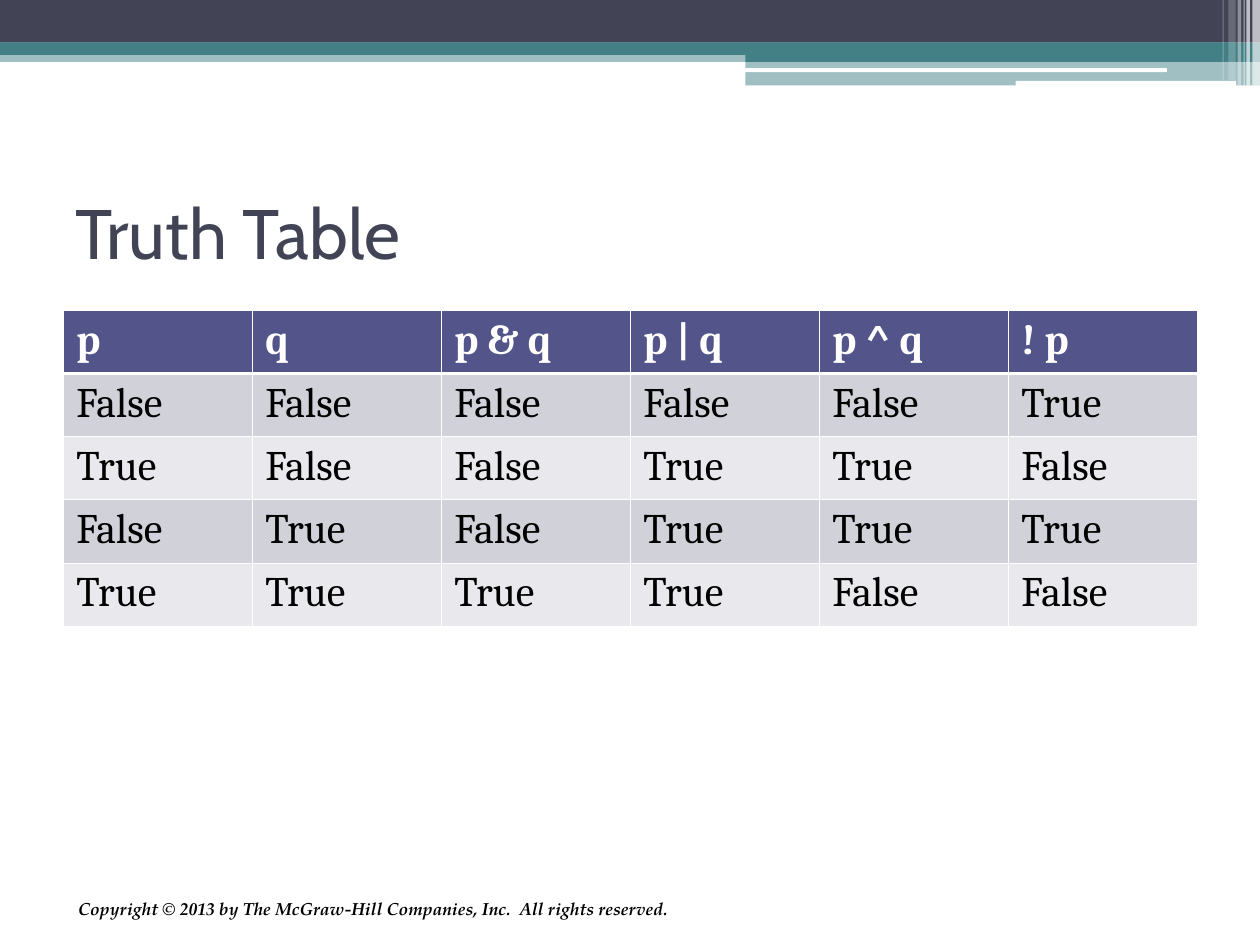
from itertools import product

from lxml import etree
from pptx import Presentation
from pptx.dml.color import RGBColor
from pptx.enum.shapes import MSO_SHAPE
from pptx.enum.text import MSO_ANCHOR, PP_ALIGN
from pptx.oxml.ns import qn
from pptx.util import Pt

RECT, ROUNDED = MSO_SHAPE.RECTANGLE, MSO_SHAPE.ROUNDED_RECTANGLE
TOP, MIDDLE = MSO_ANCHOR.TOP, MSO_ANCHOR.MIDDLE
LEFT, RIGHT = PP_ALIGN.LEFT, PP_ALIGN.RIGHT


def color(hex_value):
    return RGBColor.from_string(hex_value)


def write(frame, text, font="Cambria", size=24, ink="000000", bold=False,
          italic=False, align=LEFT):
    paragraph = frame.paragraphs[0]
    paragraph.alignment = align
    run = paragraph.add_run()
    run.text = text
    run.font.name = font
    run.font.size = Pt(size)
    run.font.bold = bold
    run.font.italic = italic
    run.font.color.rgb = color(ink)


class TruthTableSlide:
    navy, teal, white = "424456", "438086", "FFFFFF"
    header_fill, row_fills = "53548A", ("D1D1DA", "E9E9ED")
    thin_border, header_border = 0.45, 1.47

    def __init__(self, slide):
        self.slide = slide

    def bar(self, left, top, width, height, fill, opacity=100, kind=RECT):
        bar = self.slide.shapes.add_shape(
            kind, Pt(left), Pt(top), Pt(width), Pt(height))
        bar.shadow.inherit = False
        bar.line.fill.background()
        bar.fill.solid()
        bar.fill.fore_color.rgb = color(fill)
        if opacity < 100:
            tint = bar.fill._xPr.find(".//" + qn("a:srgbClr"))
            etree.SubElement(tint, qn("a:alpha"), val=str(opacity * 1000))

    def text(self, left, top, width, height, text, anchor=TOP,
             margins=(7.2, 3.6, 7.2, 3.6), **style):
        frame = self.slide.shapes.add_textbox(
            Pt(left), Pt(top), Pt(width), Pt(height)).text_frame
        frame.word_wrap = True
        frame.vertical_anchor = anchor
        (frame.margin_left, frame.margin_top,
         frame.margin_right, frame.margin_bottom) = map(Pt, margins)
        write(frame, text, **style)

    def borders(self, cell, top, bottom):
        widths = {"L": self.thin_border, "R": self.thin_border,
                  "T": top, "B": bottom}
        properties = cell._tc.get_or_add_tcPr()
        for position, (side, width) in enumerate(widths.items()):
            line = etree.Element(qn(f"a:ln{side}"), w=str(Pt(width)))
            fill = etree.SubElement(line, qn("a:solidFill"))
            etree.SubElement(fill, qn("a:srgbClr"), val=self.white)
            properties.insert(position, line)

    def table(self, left, top, column_width, row_height, rows):
        columns = len(rows[0])
        table = self.slide.shapes.add_table(
            len(rows), columns, Pt(left), Pt(top),
            Pt(column_width * columns), Pt(row_height * len(rows))).table
        for column in table.columns:
            column.width = Pt(column_width)
        for r, values in enumerate(rows):
            table.rows[r].height = Pt(row_height)
            header = r == 0
            for c, value in enumerate(values):
                cell = table.cell(r, c)
                cell.fill.solid()
                cell.fill.fore_color.rgb = color(
                    self.header_fill if header else self.row_fills[(r - 1) % 2])
                self.borders(
                    cell,
                    self.header_border if r == 1 else self.thin_border,
                    self.header_border if header else self.thin_border)
                write(cell.text_frame, value, bold=header,
                      ink=self.white if header else "000000")


def main():
    presentation = Presentation()
    presentation.slide_width, presentation.slide_height = Pt(720), Pt(540)
    page = TruthTableSlide(
        presentation.slides.add_slide(presentation.slide_layouts[6]))

    page.bar(0, 28.8, 720, 6.6, page.teal, 50)
    page.bar(0, 0, 720, 24.4, page.navy)
    page.bar(0, 24.2, 720, 7.2, page.teal)
    page.bar(426, 28.4, 294, 7, page.teal)
    page.bar(426, 34.6, 294, 14.2, page.teal, 50)
    page.bar(425.6, 39, 241.2, 2.2, page.white, kind=ROUNDED)
    page.bar(580.4, 46.2, 126, 2.8, page.white, kind=ROUNDED)
    stripes = [(715.6, 4.4, 49, 65), (712.2, 2, 49, 65), (710.6, 0.7, 49, 60),
               (707.2, 2, 49, 40), (702, 4.2, 46, 20), (698.6, 0.7, 46, 30)]
    for left, width, height, opacity in stripes:
        page.bar(left, 0, width, height, page.white, opacity)

    page.text(36, 90, 648, 84.2, "Truth Table", anchor=MIDDLE,
              font="Cabin", size=40, ink=page.navy)

    rows = [["p", "q", "p & q", "p | q", "p ^ q", "! p"]]
    for q, p in product((False, True), repeat=2):
        rows.append([str(value) for value in (p, q, p & q, p | q, p ^ q, not p)])
    page.table(36.4, 177.3, 108, 36.1, rows)

    page.text(23.8, 509.8, 366.5, 30.2,
              "Copyright © 2013 by The McGraw-Hill Companies, Inc.  "
              "All rights reserved.",
              margins=(6.5, 3.2, 9, 3.2), font="TeX Gyre Pagella", size=10,
              bold=True, italic=True, align=RIGHT)

    presentation.save("out.pptx")


if __name__ == "__main__":
    main()
